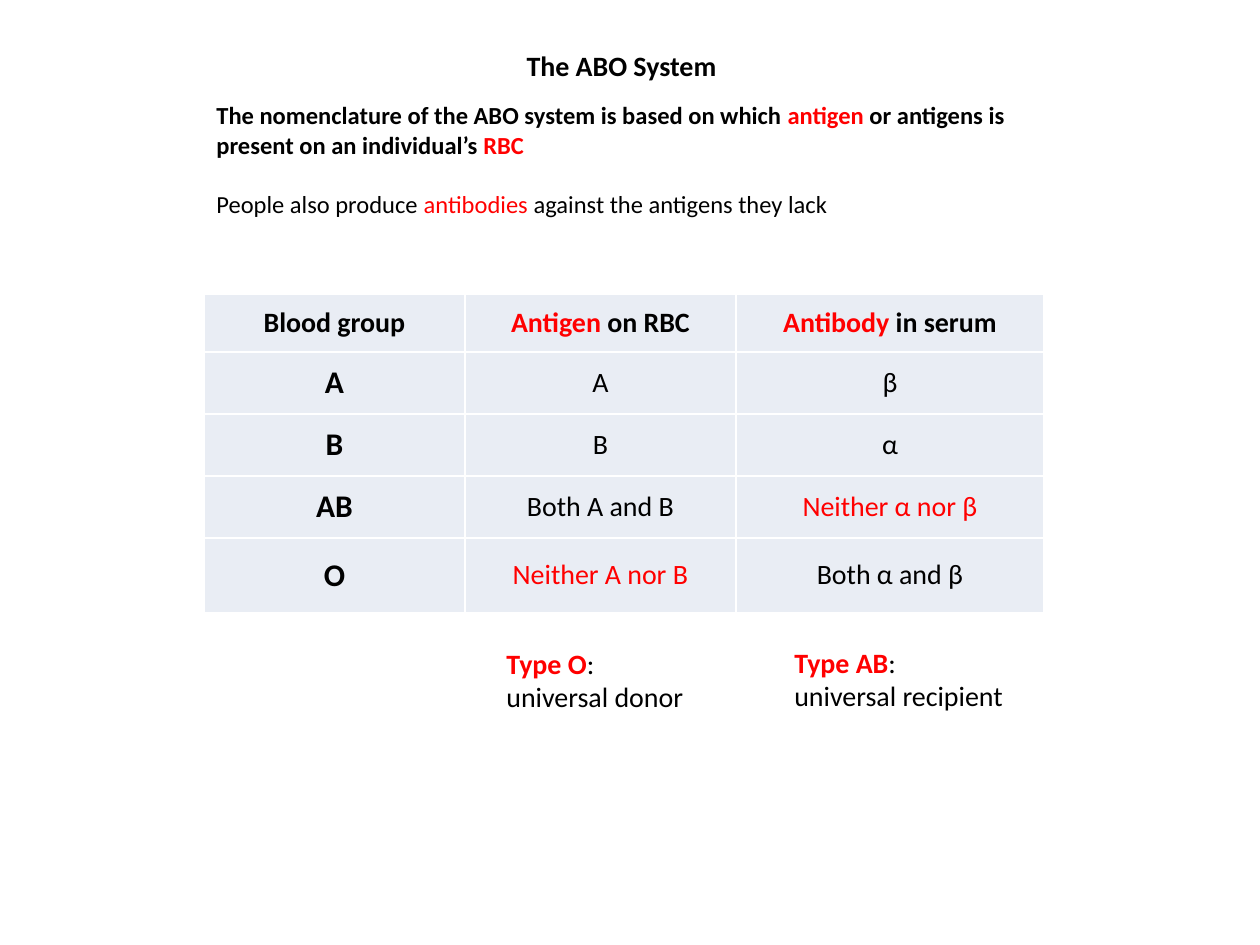
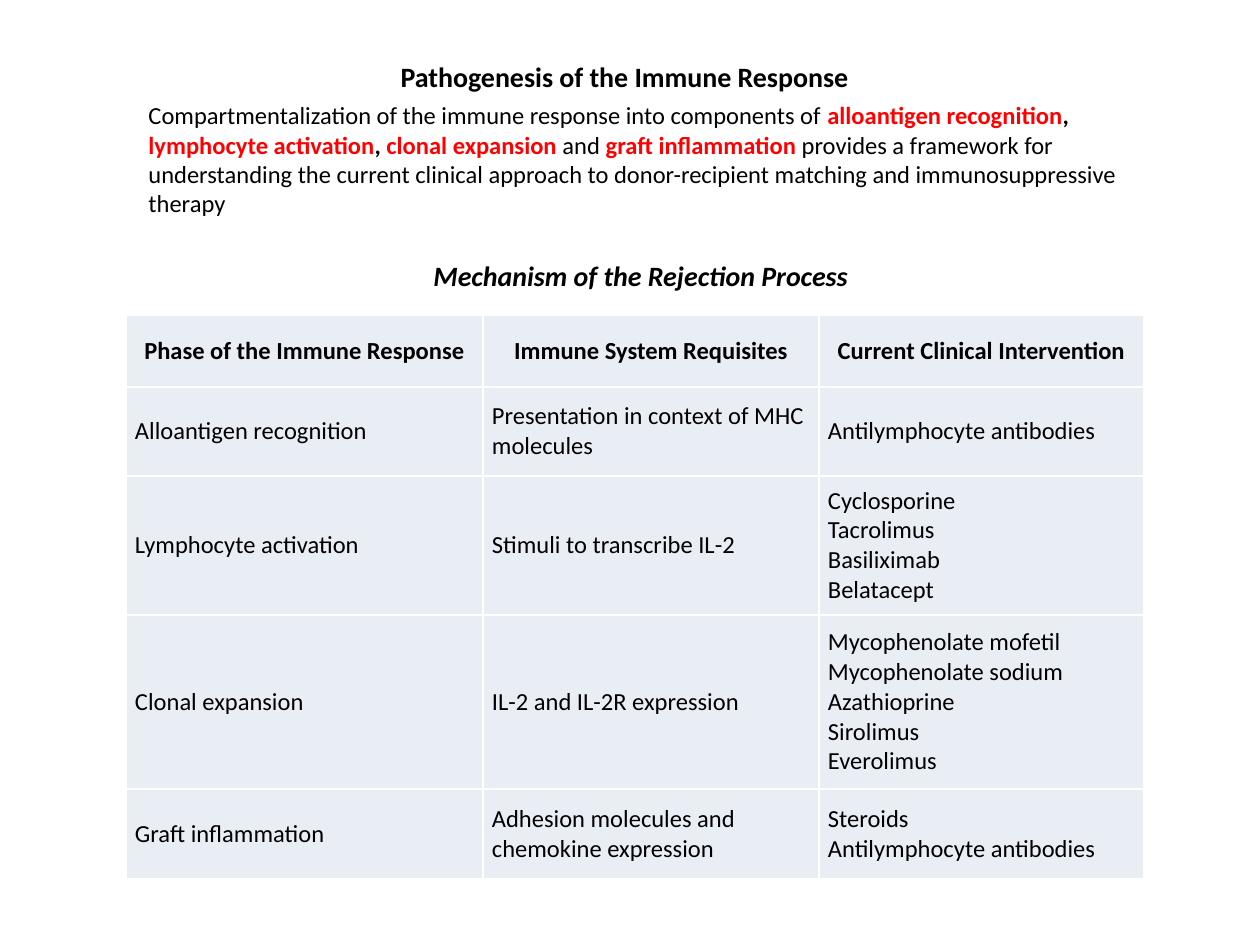
from dataclasses import dataclass

from pptx import Presentation
from pptx.dml.color import RGBColor
from pptx.enum.text import MSO_ANCHOR as Anchor, MSO_AUTO_SIZE as AutoSize, PP_ALIGN as Align
from pptx.util import Emu, Pt

PX_PER_INCH = 126
FONT = "Calibri"
BLACK, RED, CELL_FILL = "000000", "FF0000", "E9EDF4"
TITLE_ONLY = 5
CELL_INSET = 9


@dataclass
class Run:
    """A stretch of text that departs from its paragraph's style."""
    text: str
    color: str = BLACK
    bold: bool | None = None


def red(text, bold=None):
    """Return a run in the highlight colour."""
    return Run(text, RED, bold)


def px(length):
    """Turn pixels into EMU."""
    return Emu(round(length * 914400 / PX_PER_INCH))


def rgb(color):
    """Turn a hex string into a colour."""
    return RGBColor.from_string(color)


def write_text(frame, paragraphs, size, bold=False, italic=False, align=Align.LEFT, gap=0):
    """Fill a text frame; each paragraph is a string, a run or a list of both."""
    for index, content in enumerate(paragraphs):
        paragraph = frame.add_paragraph() if index else frame.paragraphs[0]
        paragraph.alignment = align
        paragraph.space_before = Pt(gap if index else 0)
        font = paragraph.font
        font.name, font.size, font.bold, font.italic = FONT, Pt(size), bold, italic
        font.color.rgb = rgb(BLACK)
        for part in content if isinstance(content, list) else [content]:
            piece = part if isinstance(part, Run) else Run(part)
            run = paragraph.add_run()
            run.text = piece.text
            if piece.color != BLACK:
                run.font.color.rgb = rgb(piece.color)
            if piece.bold is not None:
                run.font.bold = piece.bold


def add_titled_slide(presentation, title, left, top, width, height=47):
    """Add a slide with its placed and formatted title."""
    slide = presentation.slides.add_slide(presentation.slide_layouts[TITLE_ONLY])
    shape = slide.shapes.title
    shape.left, shape.top, shape.width, shape.height = map(px, (left, top, width, height))
    frame = shape.text_frame
    frame.vertical_anchor = Anchor.TOP
    frame.auto_size = AutoSize.NONE
    write_text(frame, [title], 16, bold=True)
    return slide


def add_text(slide, left, top, width, height, paragraphs, size, **style):
    """Add a wrapping text box."""
    frame = slide.shapes.add_textbox(*map(px, (left, top, width, height))).text_frame
    frame.word_wrap = True
    write_text(frame, paragraphs, size, **style)


def add_table(slide, left, top, widths, heights, rows, cell_style):
    """Add a plain table; cell_style gives the text style for a row and column."""
    box = map(px, (left, top, sum(widths), sum(heights)))
    table = slide.shapes.add_table(len(heights), len(widths), *box).table
    table.first_row = table.horz_banding = False
    for column, width in zip(table.columns, widths):
        column.width = px(width)
    for row_index, (height, contents) in enumerate(zip(heights, rows)):
        table.rows[row_index].height = px(height)
        for column_index, content in enumerate(contents):
            cell = table.cell(row_index, column_index)
            cell.fill.solid()
            cell.fill.fore_color.rgb = rgb(CELL_FILL)
            cell.vertical_anchor = Anchor.MIDDLE
            cell.margin_left = cell.margin_right = px(CELL_INSET)
            cell.margin_top = cell.margin_bottom = 0
            paragraphs = content.split("\n") if isinstance(content, str) else [content]
            write_text(cell.text_frame, paragraphs, **cell_style(row_index, column_index))


def blood_group_style(row, column):
    """Centre every cell, with bold headings and larger group names."""
    is_group = row > 0 and column == 0
    return {"size": 18 if is_group else 16, "bold": row == 0 or is_group, "align": Align.CENTER}


def rejection_style(row, column):
    """Centre the bold heading row and left-align the rest."""
    return {"size": 14, "bold": row == 0, "align": Align.LEFT if row else Align.CENTER}


def build_abo_slide(presentation):
    """Build the slide on blood groups."""
    slide = add_titled_slide(presentation, "The ABO System", 514, 42, 221)
    add_text(slide, 204, 94, 840, 131, [
        [Run("The nomenclature of the ABO system is based on which ", bold=True),
         red("antigen", True),
         Run(" or antigens is present on an individual’s ", bold=True), red("RBC", True)],
        ["People also produce ", red("antibodies"), " against the antigens they lack"],
    ], 14, gap=17)
    add_table(slide, 204, 294, [261, 271, 308], [58, 62, 62, 62, 75], [
        ["Blood group", [red("Antigen"), " on RBC"], [red("Antibody"), " in serum"]],
        ["A", "A", "β"],
        ["B", "B", "α"],
        ["AB", "Both A and B", red("Neither α nor β")],
        ["O", red("Neither A nor B"), "Both α and β"],
    ], blood_group_style)
    add_text(slide, 494, 640, 210, 81, [[red("Type O", True), ": universal donor"]], 16)
    add_text(slide, 782, 639, 267, 81,
             [[red("Type AB", True), ":"], "universal recipient"], 16)


def build_rejection_slide(presentation):
    """Build the slide on the immune response and rejection."""
    slide = add_titled_slide(presentation, "Pathogenesis of the Immune Response", 388, 53, 479)
    comma = Run(", ", bold=True)
    add_text(slide, 136, 94, 1040, 131, [[
        "Compartmentalization of the immune response into components of ",
        red("alloantigen recognition", True), comma,
        red("lymphocyte activation", True), comma,
        red("clonal expansion ", True), "and ", red("graft inflammation ", True),
        "provides a framework for understanding the current clinical approach to "
        "donor-recipient matching and immunosuppressive therapy",
    ]], 14)
    add_text(slide, 421, 252, 446, 47, ["Mechanism of the Rejection Process"], 16,
             bold=True, italic=True)
    add_table(slide, 126, 315, [357, 336, 325], [72, 89, 139, 174, 90], [
        ["Phase of the Immune Response", "Immune System Requisites",
         "Current Clinical Intervention"],
        ["Alloantigen recognition", "Presentation in context of MHC molecules",
         "Antilymphocyte antibodies"],
        ["Lymphocyte activation", "Stimuli to transcribe IL-2",
         "Cyclosporine\nTacrolimus\nBasiliximab\nBelatacept"],
        ["Clonal expansion", "IL-2 and IL-2R expression",
         "Mycophenolate mofetil\nMycophenolate sodium\nAzathioprine\nSirolimus\nEverolimus"],
        ["Graft inflammation", "Adhesion molecules and chemokine expression",
         "Steroids\nAntilymphocyte antibodies"],
    ], rejection_style)


def main():
    """Build and save the presentation."""
    presentation = Presentation()
    presentation.slide_width, presentation.slide_height = px(1260), px(945)
    build_abo_slide(presentation)
    build_rejection_slide(presentation)
    presentation.save("out.pptx")


if __name__ == "__main__":
    main()
